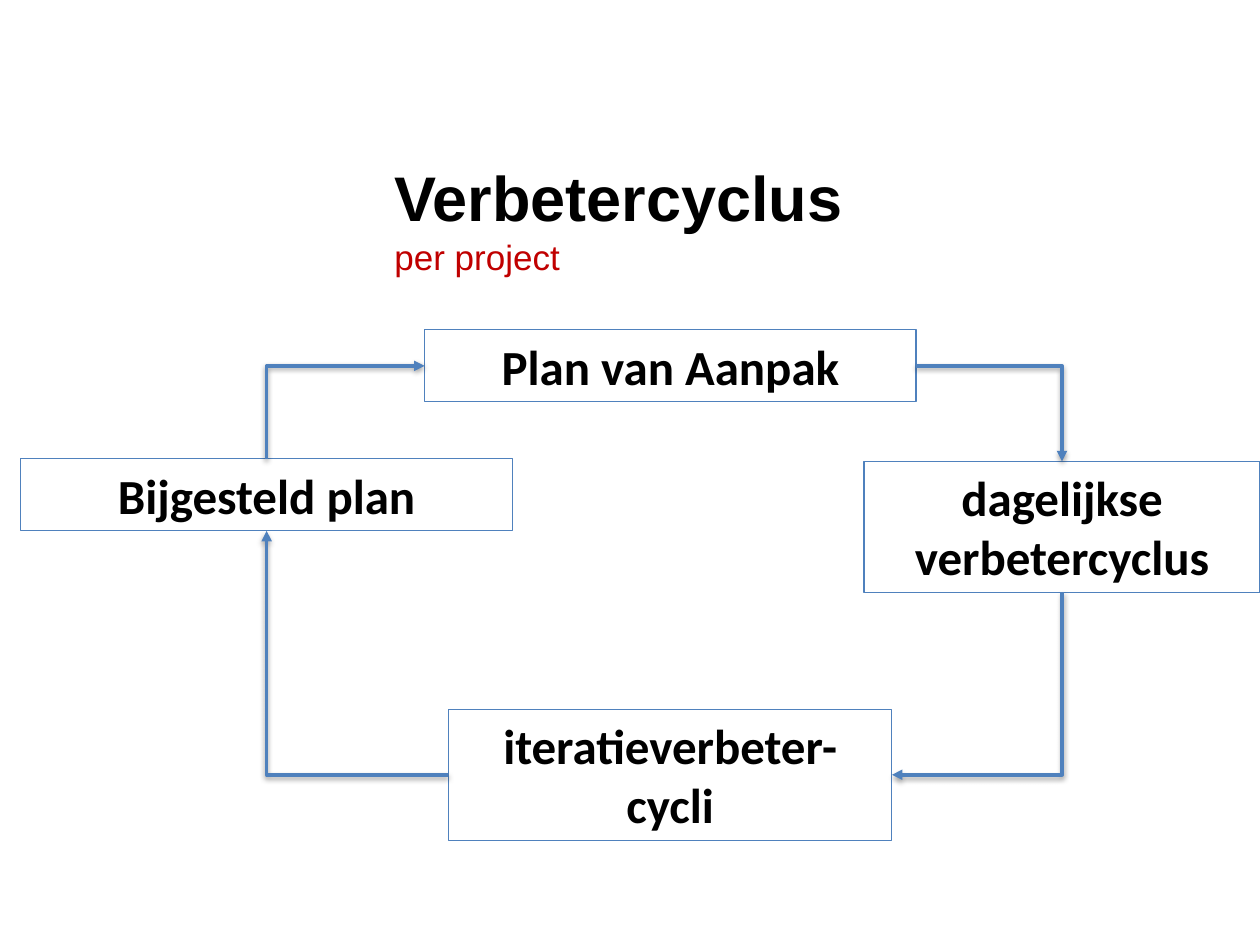
from typing import NamedTuple

from lxml import etree
from pptx import Presentation
from pptx import util as u
from pptx.dml import color
from pptx.enum import shapes, text
from pptx.oxml import ns

BLUE = "4F81BD"
BLACK = "000000"
RED = "C00000"
TOP, LEFT, BOTTOM, RIGHT = range(4)


class Box(NamedTuple):
    label: str
    left: float
    top: float
    width: float
    height: float


class Link(NamedTuple):
    start: int
    begin: int
    end: int


STEPS = [
    Box("Plan van Aanpak", 8.56, 6.65, 9.91, 1.45),
    Box("dagelijkse verbetercyclus", 17.42, 9.3, 7.98, 2.64),
    Box("iteratieverbeter-cycli", 9.04, 14.3, 8.94, 2.64),
    Box("Bijgesteld plan", 0.41, 9.25, 9.93, 1.45),
]
LINKS = [
    Link(0, RIGHT, TOP),
    Link(1, BOTTOM, RIGHT),
    Link(2, LEFT, BOTTOM),
    Link(3, TOP, LEFT),
]


def paint(code: str) -> color.RGBColor:
    return color.RGBColor.from_string(code)


def write(shape, words: str, *, size: int, font: str, hue: str = BLACK,
          bold: bool = False, align=text.PP_ALIGN.LEFT,
          anchor=text.MSO_ANCHOR.BOTTOM) -> None:
    frame = shape.text_frame
    frame.word_wrap = True
    frame.vertical_anchor = anchor
    para = frame.paragraphs[0]
    para.alignment = align
    run = para.add_run()
    run.text = words
    run.font.size = u.Pt(size)
    run.font.name = font
    run.font.bold = bold
    run.font.color.rgb = paint(hue)


def place(box: Box) -> list:
    return [u.Cm(n) for n in box[1:]]


def draw_box(slide, box: Box):
    shape = slide.shapes.add_shape(shapes.MSO_SHAPE.RECTANGLE, *place(box))
    shape.shadow.inherit = False
    shape.fill.background()
    shape.line.color.rgb = paint(BLUE)
    shape.line.width = u.Pt(0.75)
    write(shape, box.label, size=28, font="Calibri", bold=True,
          align=text.PP_ALIGN.CENTER, anchor=text.MSO_ANCHOR.MIDDLE)
    return shape


def add_shade(props) -> None:
    group = etree.SubElement(props, ns.qn("a:effectLst"))
    shade = etree.SubElement(group, ns.qn("a:outerShdw"), blurRad="40000",
                             dist="20000", dir="5400000", rotWithShape="0")
    tint = etree.SubElement(shade, ns.qn("a:srgbClr"), val=BLACK)
    etree.SubElement(tint, ns.qn("a:alpha"), val="38000")


def draw_link(slide, nodes: list, link: Link) -> None:
    line = slide.shapes.add_connector(shapes.MSO_CONNECTOR.ELBOW, 0, 0, 0, 0)
    line.begin_connect(nodes[link.start], link.begin)
    line.end_connect(nodes[(link.start + 1) % len(nodes)], link.end)
    wide = abs(line.end_x - line.begin_x)
    high = abs(line.end_y - line.begin_y)
    mid_x = (line.begin_x + line.end_x) // 2
    mid_y = (line.begin_y + line.end_y) // 2
    if link.start % 2:
        wide, high = high, wide

    props = line._element.spPr
    frame = props.find(ns.qn("a:xfrm"))
    for flip in ("flipH", "flipV"):
        frame.attrib.pop(flip, None)
    frame.set("rot", str(link.start * 90 * 60000))
    line.left, line.top = mid_x - wide // 2, mid_y - high // 2
    line.width, line.height = wide, high
    props.find(ns.qn("a:prstGeom")).set("prst", "bentConnector2")

    line.line.color.rgb = paint(BLUE)
    line.line.width = u.Pt(2)
    etree.SubElement(line.line._get_or_add_ln(), ns.qn("a:tailEnd"),
                     type="triangle")
    add_shade(props)


def main() -> None:
    deck = Presentation()
    deck.slide_width, deck.slide_height = u.Cm(25.4), u.Cm(19.05)
    slide = deck.slides.add_slide(deck.slide_layouts[6])

    title = Box("Verbetercyclus", 7.7, 3.05, 16.94, 1.8)
    note = Box("per project", 7.7, 4.62, 16.94, 1.09)
    write(slide.shapes.add_textbox(*place(title)), title.label,
          size=36, font="Arial", bold=True)
    write(slide.shapes.add_textbox(*place(note)), note.label,
          size=20, font="Arial", hue=RED)

    nodes = [draw_box(slide, step) for step in STEPS]
    for link in LINKS:
        draw_link(slide, nodes, link)
    deck.save("out.pptx")


if __name__ == "__main__":
    main()
